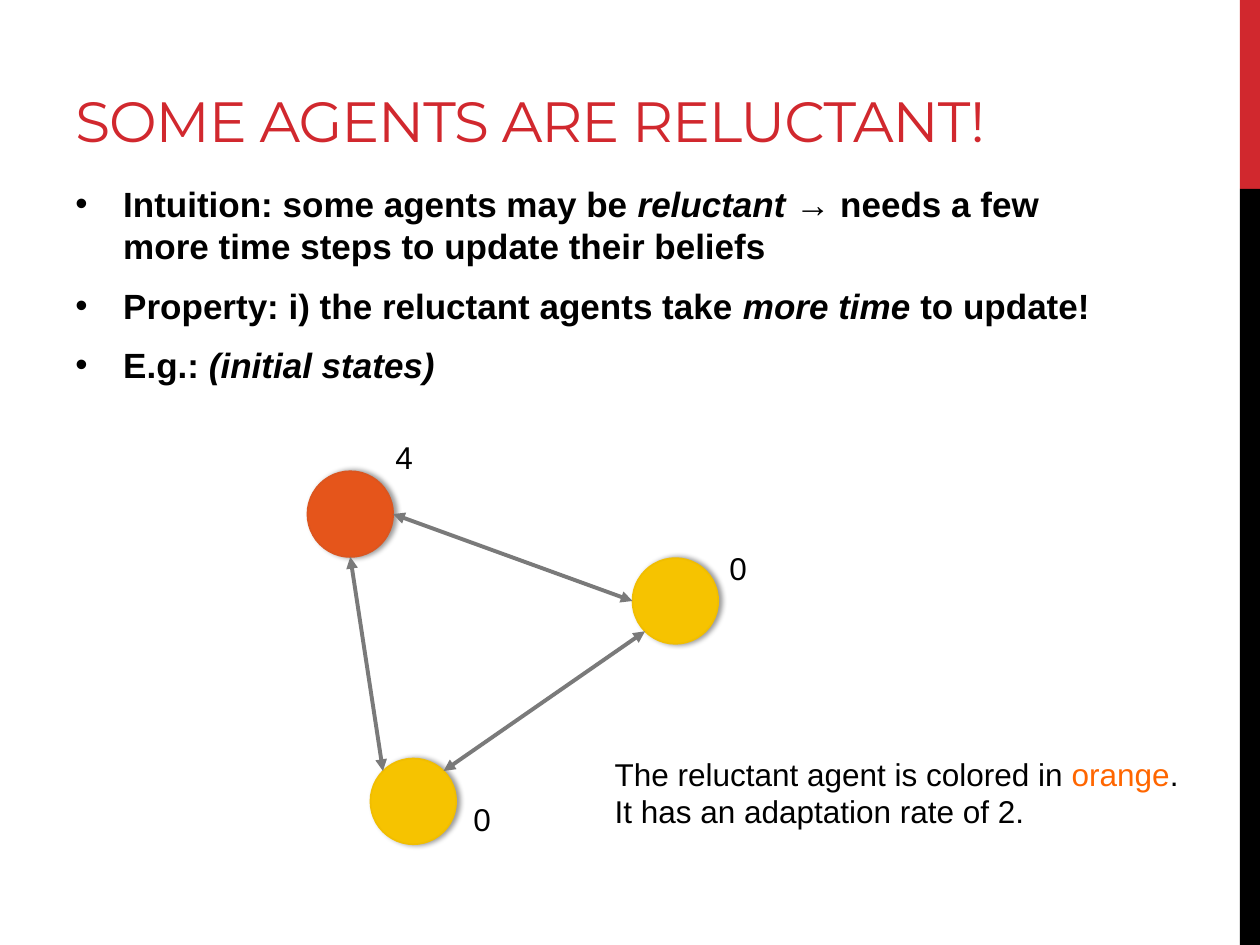
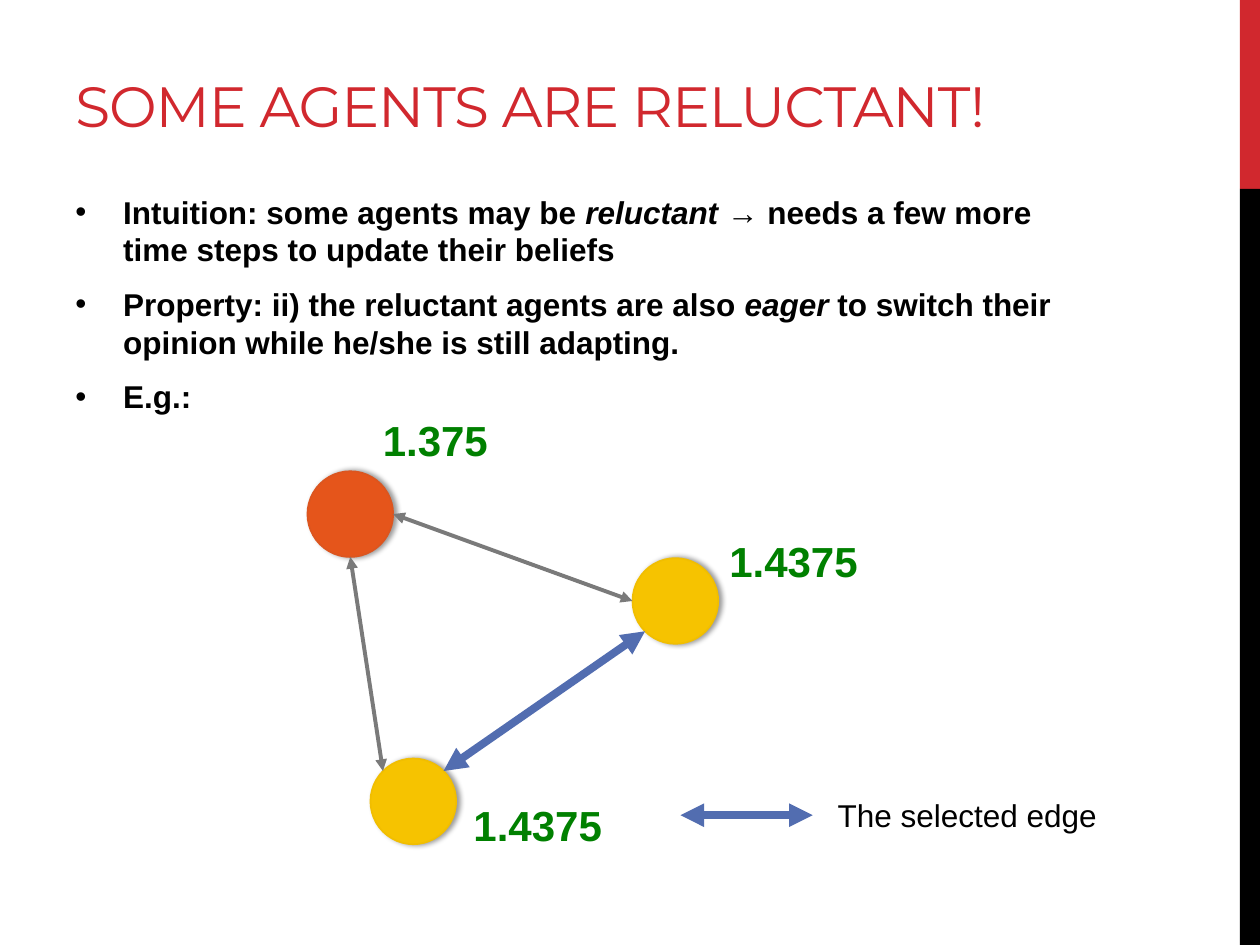
import math

import lxml.etree
import pptx
import pptx.dml.color
import pptx.enum.shapes
import pptx.enum.text
import pptx.oxml.ns
import pptx.util

Inches = pptx.util.Inches
Pt = pptx.util.Pt
MSO_SHAPE = pptx.enum.shapes.MSO_SHAPE

COLORS = {
    "red": "D1282E", "black": "000000", "green": "008000", "highlight": "FF6600",
    "orange": "E5551B", "orange_line": "DC551F",
    "yellow": "F6C300", "yellow_line": "F1BE00",
    "gray": "7A7A7A", "blue": "526DB0",
}
TITLE = "SOME AGENTS ARE RELUCTANT!"
INTUITION = [("Intuition: some agents may be ", ""), ("reluctant ", "italic"),
             ("→ needs a few more time steps to update their beliefs", "")]

# Bands on the right edge: top, height, colour
BANDS = [(0, 1.5, "red"), (1.5, 6, "black")]

# Agents of the network: centre and fill colour
DIAMETER = 0.68
AGENTS = {
    "reluctant": (2.78, 4.08, "orange"),
    "lower": (3.28, 6.36, "yellow"),
    "right": (5.36, 4.77, "yellow"),
}
# Edges: agent and angle in degrees, clockwise from the right, at either end
EDGES = {
    "reluctant-right": (("reluctant", 0), ("right", 180)),
    "reluctant-lower": (("reluctant", 90), ("lower", 225)),
    "lower-right": (("lower", 315), ("right", 135)),
}
PLAIN = {"size": 18}
STATE = {"size": 24, "color": "green", "bold": True}

SLIDES = [
    {
        "title_height": 1.1, "body": (0.5, 1.4, 8.33, 5.3), "body_size": 20,
        "bullets": [
            INTUITION,
            [("Property: i) the reluctant agents take ", ""),
             ("more time ", "italic"), ("to update!", "")],
            [("E.g.: ", ""), ("(initial states)", "italic")],
        ],
        "selected": None, "legend_arrow": None,
        "notes": [
            ((3.04, 3.43, 0.34, 0.4), [[("4", "")]], PLAIN),
            ((5.69, 4.31, 0.34, 0.4), [[("0", "")]], PLAIN),
            ((3.66, 6.3, 0.34, 0.4), [[("0", "")]], PLAIN),
            ((4.78, 5.94, 4.72, 0.71),
             [[("The reluctant agent is colored in ", ""), ("orange", "highlight"), (". ", "")],
              [("It has an adaptation rate of 2.", "")]], PLAIN),
        ],
    },
    {
        "title_height": 0.98, "body": (0.5, 1.48, 8.33, 2.6), "body_size": 18,
        "bullets": [
            INTUITION,
            [("Property: ii) the reluctant agents are also ", ""), ("eager ", "italic"),
             ("to switch their opinion while he/she is still adapting.", "")],
            [("E.g.:", "")],
        ],
        "selected": "lower-right", "legend_arrow": ((5.4, 6.47), (6.45, 6.47)),
        "notes": [
            ((2.94, 3.24, 1.04, 0.5), [[("1.375", "")]], STATE),
            ((5.69, 4.2, 1.23, 0.5), [[("1.4375", "")]], STATE),
            ((3.66, 6.3, 1.23, 0.5), [[("1.4375", "")]], STATE),
            ((6.55, 6.27, 2.28, 0.4), [[("The selected edge", "")]], PLAIN),
        ],
    },
]


def rgb(name):
    """Return the named colour."""
    return pptx.dml.color.RGBColor.from_string(COLORS[name])


def add_element(parent, tag, **attributes):
    """Append a DrawingML element to its parent."""
    return lxml.etree.SubElement(parent, pptx.oxml.ns.qn(tag), attributes)


def add_shape(page, kind, place, fill):
    """Add a filled shape without outline or shadow."""
    shape = page.shapes.add_shape(kind, *map(Inches, place))
    shape.shadow.inherit = False
    shape.fill.solid()
    shape.fill.fore_color.rgb = rgb(fill)
    shape.line.fill.background()
    return shape


def add_text(page, place, paras, size, color="black", bold=False, font="Arial", wrap=False):
    """Add a text box made of paragraphs of (text, style) spans."""
    box = page.shapes.add_textbox(*map(Inches, place))
    frame = box.text_frame
    frame.word_wrap = wrap
    auto = pptx.enum.text.MSO_AUTO_SIZE
    frame.auto_size = auto.NONE if wrap else auto.SHAPE_TO_FIT_TEXT
    for index, spans in enumerate(paras):
        para = frame.paragraphs[0] if index == 0 else frame.add_paragraph()
        for text, style in spans:
            span = para.add_run()
            span.text = text
            span.font.name = font
            span.font.size = Pt(size)
            span.font.bold = bold
            span.font.italic = style == "italic"
            span.font.color.rgb = rgb(style if style in COLORS else color)
    return frame


def add_title(page, height):
    """Add the title, standing on the bottom of its box."""
    frame = add_text(page, (0.5, 0.17, 8.33, height), [[(TITLE, "")]],
                     32.4, "red", font="Montserrat", wrap=True)
    frame.vertical_anchor = pptx.enum.text.MSO_ANCHOR.BOTTOM
    frame.paragraphs[0].runs[0].font._element.set("spc", "-60")


def add_bullets(page, place, bullets, size):
    """Add the bold bulleted body."""
    frame = add_text(page, place, bullets, size, bold=True, wrap=True)
    for para in frame.paragraphs:
        para.space_before = Pt(0.2 * size)
        para.space_after = Pt(6)
        properties = para._p.get_or_add_pPr()
        properties.set("marL", str(Inches(0.38)))
        properties.set("indent", str(-Inches(0.38)))
        add_element(properties, "a:buFont", typeface="Arial")
        add_element(properties, "a:buChar", char="•")


def add_agent(page, center_x, center_y, color):
    """Add an agent's circle with a soft shadow to its right."""
    place = (center_x - DIAMETER / 2, center_y - DIAMETER / 2, DIAMETER, DIAMETER)
    circle = add_shape(page, MSO_SHAPE.FLOWCHART_CONNECTOR, place, color)
    circle.line.color.rgb = rgb(color + "_line")
    circle.line.width = Pt(1)
    effects = circle._element.spPr.find(pptx.oxml.ns.qn("a:effectLst"))
    shadow = add_element(effects, "a:outerShdw", blurRad=str(Pt(3.1)), dist=str(Pt(1.8)),
                         dir="0", rotWithShape="0")
    shade = add_element(shadow, "a:srgbClr", val=COLORS["black"])
    add_element(shade, "a:alpha", val="40000")


def rim_point(agent, angle):
    """Return the point on an agent's rim at an angle."""
    center_x, center_y, _ = AGENTS[agent]
    turn = math.radians(angle)
    return (center_x + DIAMETER / 2 * math.cos(turn),
            center_y + DIAMETER / 2 * math.sin(turn))


def add_arrow(page, start, end, selected=False):
    """Add a two-headed arrow, blue and thick when selected."""
    arrow = page.shapes.add_connector(pptx.enum.shapes.MSO_CONNECTOR.STRAIGHT,
                                      *map(Inches, start + end))
    arrow.line.color.rgb = rgb("blue" if selected else "gray")
    arrow.line.width = Pt(4.5 if selected else 2.25)
    line = arrow.line._get_or_add_ln()
    add_element(line, "a:headEnd", type="triangle")
    add_element(line, "a:tailEnd", type="triangle")
    add_element(arrow._element.spPr, "a:effectLst")


def build_page(deck, content):
    """Build one slide from its content."""
    page = deck.slides.add_slide(deck.slide_layouts[6])
    for top, height, color in BANDS:
        add_shape(page, MSO_SHAPE.RECTANGLE, (9.84, top, 0.16, height), color)
    for agent in AGENTS.values():
        add_agent(page, *agent)
    for name, (start, end) in EDGES.items():
        add_arrow(page, rim_point(*start), rim_point(*end), name == content["selected"])
    if content["legend_arrow"]:
        add_arrow(page, *content["legend_arrow"], selected=True)
    for place, paras, style in content["notes"]:
        add_text(page, place, paras, **style)
    add_title(page, content["title_height"])
    add_bullets(page, content["body"], content["bullets"], content["body_size"])


deck = pptx.Presentation()
deck.slide_width = Inches(10)
deck.slide_height = Inches(7.5)
for slide_content in SLIDES:
    build_page(deck, slide_content)
deck.save("out.pptx")
